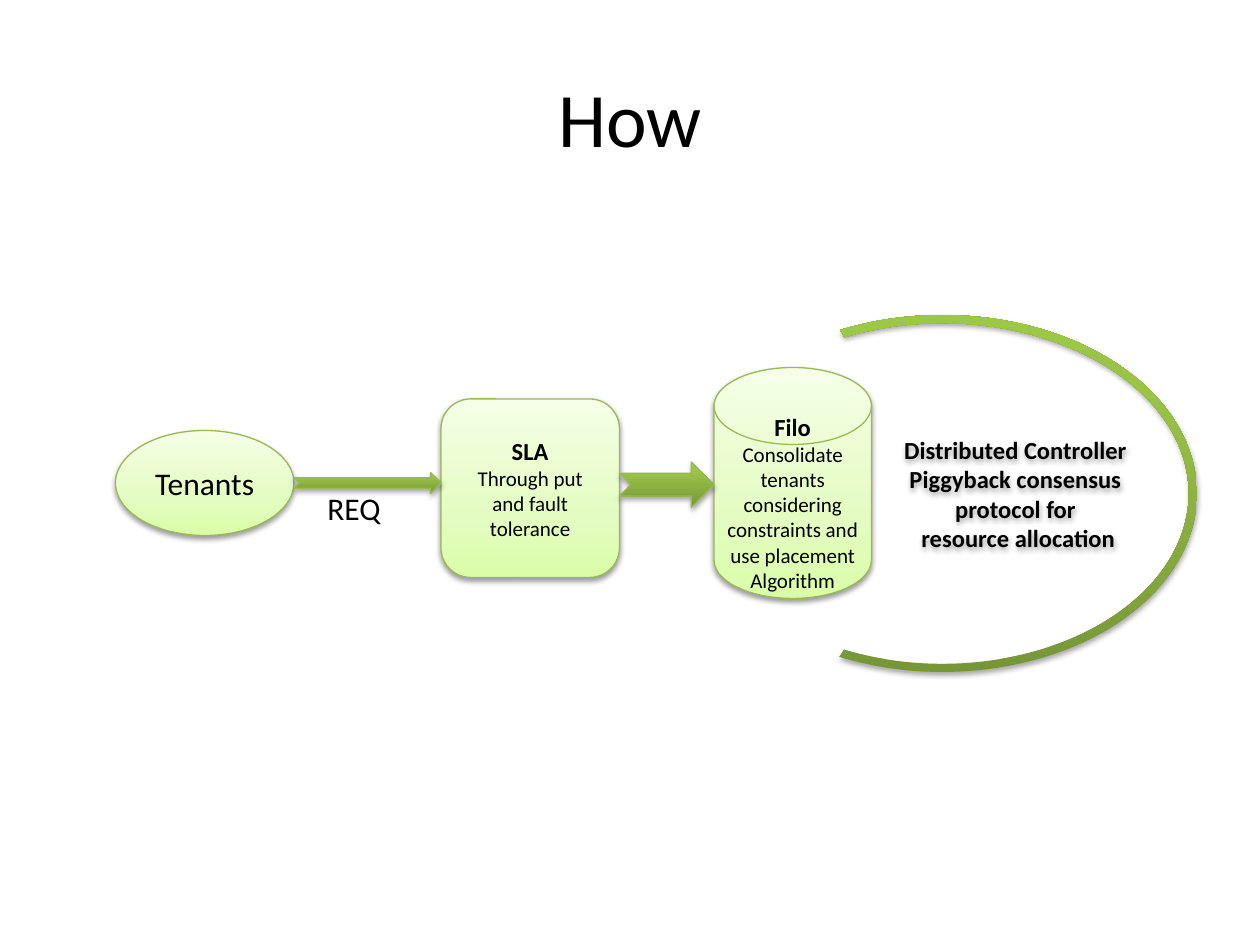
from lxml.etree import SubElement
from pptx import Presentation
from pptx.dml.color import RGBColor
from pptx.enum.shapes import MSO_SHAPE as Form
from pptx.enum.text import MSO_ANCHOR as Anchor, PP_ALIGN as Align
from pptx.oxml.ns import qn
from pptx.util import Pt

BLACK = RGBColor(0x00, 0x00, 0x00)
EDGE = RGBColor(0x98, 0xB9, 0x55)
PALE = [
    (0, RGBColor(0xDA, 0xFD, 0xA7)),
    (35, RGBColor(0xE4, 0xFC, 0xC2)),
    (100, RGBColor(0xF5, 0xFF, 0xE7)),
]
DEEP = [
    (0, RGBColor(0x77, 0x97, 0x37)),
    (80, RGBColor(0x9B, 0xC3, 0x48)),
    (100, RGBColor(0x9D, 0xC7, 0x46)),
]
SHADOWS = {"pale": (38, 1.6), "deep": (35, 1.8)}


def write(shape, lines, align=Align.CENTER, anchor=Anchor.MIDDLE, wrap=True):
    frame = shape.text_frame
    frame.word_wrap = wrap
    frame.vertical_anchor = anchor
    for index, (text, size, bold) in enumerate(lines):
        para = frame.paragraphs[0] if index == 0 else frame.add_paragraph()
        para.alignment = align
        span = para.add_run()
        span.text = text
        span.font.color.rgb = BLACK
        for name, value in {"name": "Calibri", "size": Pt(size), "bold": bold}.items():
            setattr(span.font, name, value)


def paint(shape, stops, shadow):
    shape.fill.gradient()
    shape.fill.gradient_angle = 90
    stop_list = shape._element.spPr.find(".//" + qn("a:gsLst"))
    for old in list(stop_list):
        stop_list.remove(old)
    for place, color in stops:
        stop = SubElement(stop_list, qn("a:gs"), pos=str(place * 1000))
        SubElement(stop, qn("a:srgbClr"), val=str(color))
    shape.line.color.rgb = EDGE
    shape.line.width = Pt(0.75)
    shape.shadow.inherit = False
    opacity, distance = shadow
    effects = shape._element.spPr.find(qn("a:effectLst"))
    outer = SubElement(
        effects, qn("a:outerShdw"), blurRad=str(Pt(3.1)), dist=str(Pt(distance)),
        dir="5400000", rotWithShape="0",
    )
    tint = SubElement(outer, qn("a:srgbClr"), val=str(BLACK))
    SubElement(tint, qn("a:alpha"), val=str(opacity * 1000))


deck = Presentation()
deck.slide_width, deck.slide_height = Pt(720), Pt(540)
page = deck.slides.add_slide(deck.slide_layouts[6])

title = page.shapes.add_textbox(Pt(36), Pt(21.6), Pt(648), Pt(90))
write(title, [("How", 44, False)])

request = page.shapes.add_textbox(Pt(180), Pt(276), Pt(45.5), Pt(29))
write(request, [("REQ", 18, False)], Align.LEFT, Anchor.TOP, False)

stages = [
    (Form.OVAL, (66, 246, 102, 60), [("Tenants", 18, False)]),
    (Form.ROUNDED_RECTANGLE, (252, 228, 102, 102),
     [("SLA", 14, True), ("Through put and fault tolerance", 12, False)]),
    (Form.FLOWCHART_MAGNETIC_DISK, (408, 210, 90, 132),
     [("Filo", 14, True),
      ("Consolidate tenants considering constraints and use placement Algorithm", 12, False)]),
]
for form, place, lines in stages:
    stage = page.shapes.add_shape(form, *map(Pt, place))
    paint(stage, PALE, SHADOWS["pale"])
    write(stage, lines)

controller = page.shapes.add_shape(Form.BLOCK_ARC, Pt(393), Pt(180), Pt(291), Pt(204))
for index, value in enumerate((142.79, 73.32, 0.023)):
    controller.adjustments[index] = value
paint(controller, DEEP, SHADOWS["deep"])
controller.line.fill.background()
controller_lines = (
    "Distributed Controller ", "Piggyback consensus ", "protocol for ", "resource allocation",
)
write(controller, [(text, 14, True) for text in controller_lines])

for place in ((354, 264, 54, 26), (168, 270, 84, 12)):
    arrow = page.shapes.add_shape(Form.NOTCHED_RIGHT_ARROW, *map(Pt, place))
    paint(arrow, DEEP, SHADOWS["deep"])

deck.save("out.pptx")
